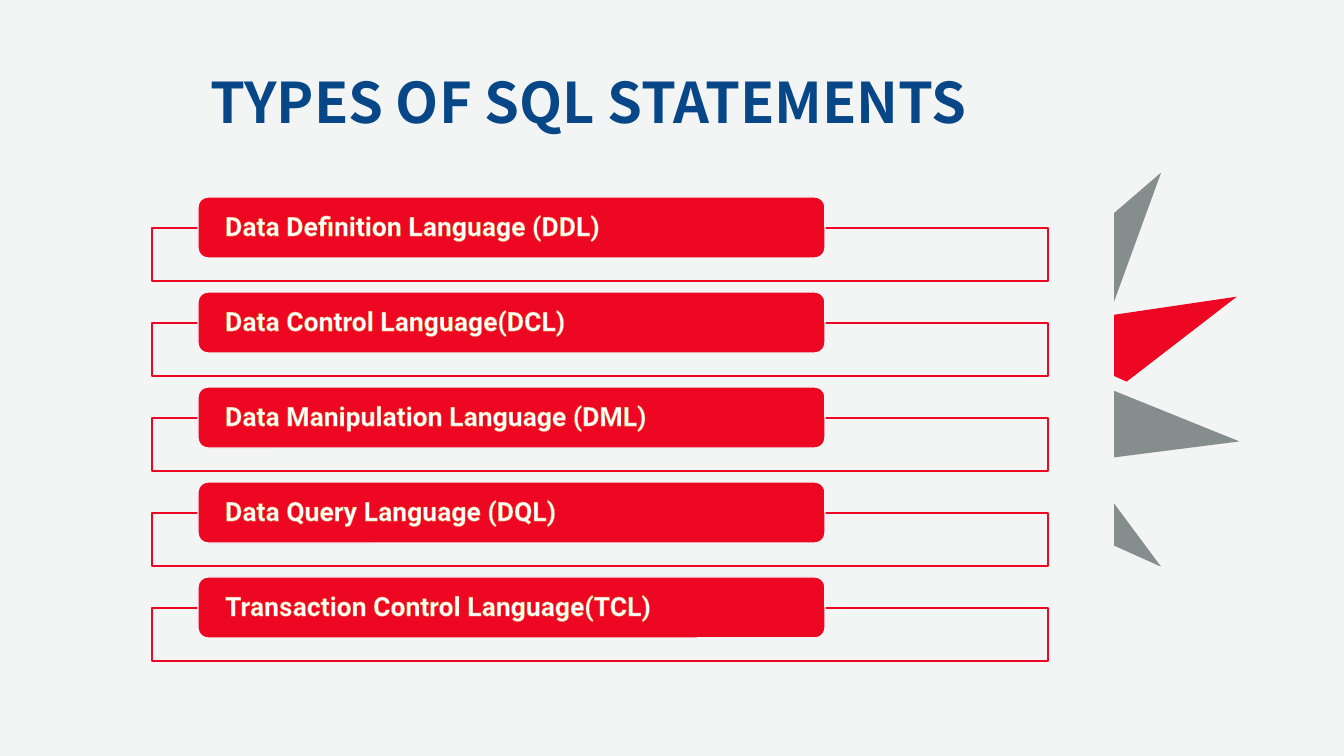
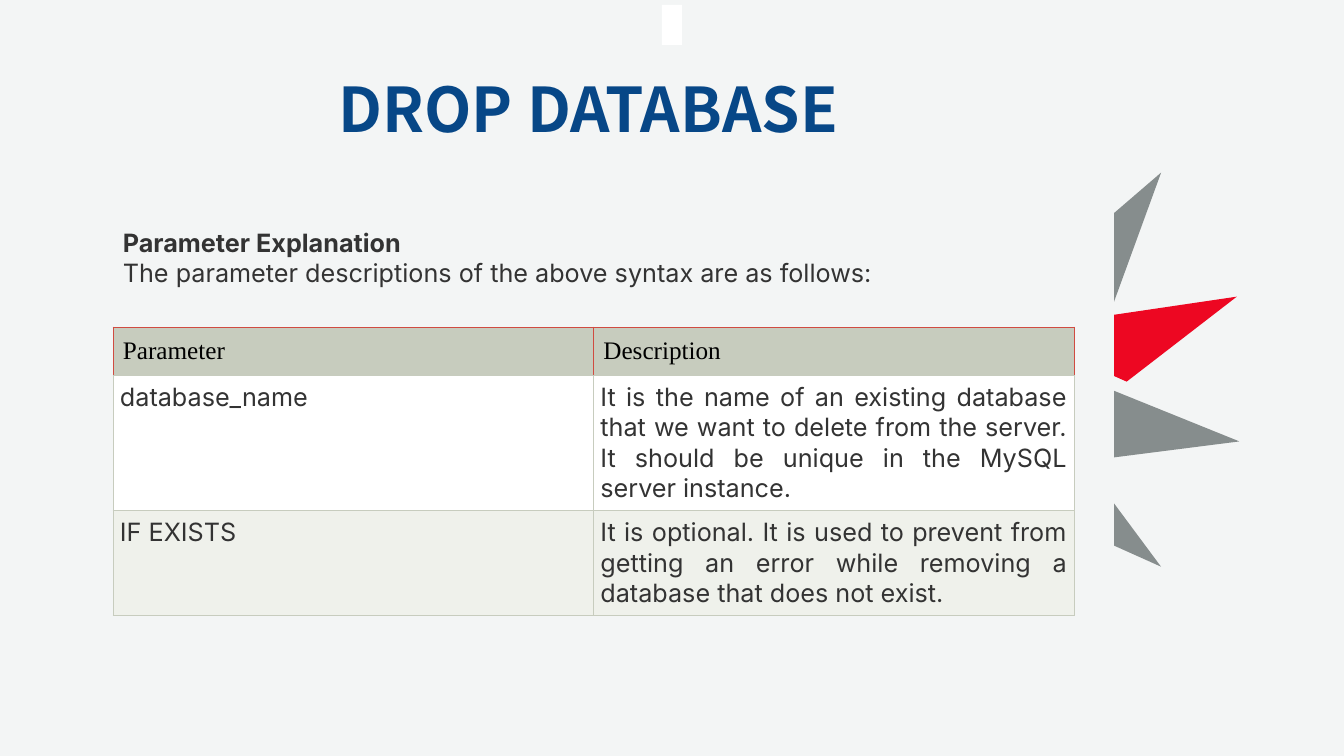
from dataclasses import dataclass

from lxml.etree import SubElement
from pptx import Presentation
from pptx.dml.color import RGBColor as Rgb
from pptx.enum.shapes import MSO_SHAPE as Kind
from pptx.enum.text import MSO_ANCHOR as Anchor, MSO_AUTO_SIZE as Fit, PP_ALIGN as Align
from pptx.oxml import parse_xml
from pptx.oxml.ns import nsdecls, qn
from pptx.util import Pt


@dataclass(frozen=True)
class Theme:
    page: str = "F3F5F5"
    red: str = "ED0722"
    gray: str = "868D8D"
    navy: str = "074787"
    white: str = "FFFFFF"
    black: str = "000000"
    ink: str = "333333"
    glow: str = "ED7D31"
    head: str = "C7CCBE"
    band: str = "EFF1EB"
    rust: str = "D04B41"
    title: str = "Noto Sans CJK SC"
    label: str = "Roboto"
    body: str = "Inter"
    serif: str = "Times New Roman"
    pill: int = 19
    text: int = 18


T = Theme()

TYPES = [
    "Data Definition Language (DDL)",
    "Data Control Language(DCL)",
    "Data Manipulation Language (DML)",
    "Data Query Language (DQL)",
    "Transaction Control Language(TCL)",
]
INTRO = [
    "Parameter Explanation",
    "The parameter descriptions of the above syntax are as follows:",
]
ROWS = [
    ("Parameter", "Description"),
    ("database_name",
     "It is the name of an existing database that we want to delete from the server. "
     "It should be unique in the MySQL server instance."),
    ("IF EXISTS",
     "It is optional. It is used to prevent from getting an error while removing a "
     "database that does not exist."),
]
HEIGHTS = [48, 135, 105]
FILLS = [T.head, T.white, T.band]
RAYS = [
    (1014, 313, 171.6, T.red),
    (951, 461, 233.4, T.gray),
    (1006, 396, 202, T.gray),
    (982, 239, 139.3, T.gray),
]
MASKS = [(113, 213, 997, 472), (1072, 213, 42, 472)]
WIDE, HIGH = 1344, 756
PITCH = 95


def px(n):
    return round(n * 12192000 / WIDE)


def box(slide, kind, area, fill, line=None):
    shape = slide.shapes.add_shape(kind, *map(px, area))
    shape.shadow.inherit = False
    shape.fill.solid()
    shape.fill.fore_color.rgb = Rgb.from_string(fill)
    if line:
        shape.line.color.rgb = Rgb.from_string(line)
        shape.line.width = Pt(1)
    else:
        shape.line.fill.background()
    return shape


def style(para, face, size, color, bold=False, align=Align.LEFT):
    para.alignment = align
    for run in para.runs:
        font = run.font
        font.name, font.size, font.bold = face, Pt(size), bold
        font.color.rgb = Rgb.from_string(color)
        for tag in ("a:ea", "a:cs"):
            SubElement(font._element, qn(tag), typeface=face)


def stroke(tag, color, width):
    return parse_xml(
        f'<a:{tag} {nsdecls("a")} w="{width}"><a:solidFill>'
        f'<a:srgbClr val="{color}"/></a:solidFill></a:{tag}>')


def dress(layout, slide):
    fill = layout.background.fill
    fill.solid()
    fill.fore_color.rgb = Rgb.from_string(T.page)
    parts = []
    for left, top, turn, color in RAYS:
        ray = box(slide, Kind.ISOSCELES_TRIANGLE, (left, top, 229, 68), color)
        ray.adjustments[0] = 0.53
        ray.rotation = turn
        parts.append(ray)
    parts += [box(slide, Kind.RECTANGLE, area, T.page) for area in MASKS]
    for part in parts:
        layout.shapes.element.append(part.element)


def head(slide, text, size, high):
    title = slide.shapes.title
    title.left, title.top, title.width, title.height = map(px, (90, 40, 997, high))
    frame = title.text_frame
    frame.text = text
    frame.word_wrap = True
    frame.auto_size = Fit.NONE
    frame.vertical_anchor = Anchor.MIDDLE
    para = frame.paragraphs[0]
    para.line_spacing = 0.9
    style(para, T.title, size, T.navy, True, Align.CENTER)


def bars(slide):
    for i, text in enumerate(TYPES):
        top = 197 + i * PITCH
        box(slide, Kind.RECTANGLE, (152, top + 31, 896, 53), T.page, T.red)
        pill = box(slide, Kind.ROUNDED_RECTANGLE, (198, top, 627, 61), T.red, T.page)
        frame = pill.text_frame
        frame.text = text
        frame.word_wrap = True
        frame.vertical_anchor = Anchor.MIDDLE
        frame.margin_left = frame.margin_right = px(24)
        frame.margin_top = frame.margin_bottom = 0
        para = frame.paragraphs[0]
        para.line_spacing = 0.9
        style(para, T.label, T.pill, T.white, True)
        para.runs[0].font._element.insert(0, stroke("ln", T.glow, 6600))


def intro(slide):
    frame = slide.shapes.add_textbox(*map(px, (113, 222, 961, 72))).text_frame
    frame.word_wrap = True
    frame.auto_size = Fit.SHAPE_TO_FIT_TEXT
    frame.text = "\n".join(INTRO)
    for i, para in enumerate(frame.paragraphs):
        style(para, T.body, T.text, T.ink, i == 0, Align.JUSTIFY)


def grid(slide):
    area = map(px, (113, 327, 961, sum(HEIGHTS)))
    table = slide.shapes.add_table(len(ROWS), 2, *area).table
    table.first_row = table.horz_banding = False
    for r, (row, high, fill) in enumerate(zip(ROWS, HEIGHTS, FILLS)):
        table.rows[r].height = px(high)
        top = r == 0
        for c, text in enumerate(row):
            cell = table.cell(r, c)
            cell.text = text
            pad = px(10 if top else 7)
            cell.margin_left = cell.margin_right = pad
            cell.margin_top = cell.margin_bottom = pad
            props = cell._tc.get_or_add_tcPr()
            for side in ("lnL", "lnR", "lnT", "lnB"):
                color = T.rust if top and side != "lnB" else T.head
                props.append(stroke(side, color, 7620))
            cell.fill.solid()
            cell.fill.fore_color.rgb = Rgb.from_string(fill)
            para = cell.text_frame.paragraphs[0]
            if top:
                style(para, T.serif, T.text, T.black)
            else:
                style(para, T.body, T.text, T.ink, align=Align.JUSTIFY)


def main():
    deck = Presentation()
    deck.slide_width, deck.slide_height = px(WIDE), px(HIGH)
    layout = deck.slide_layouts[5]

    first = deck.slides.add_slide(layout)
    dress(layout, first)
    head(first, "TYPES OF SQL STATEMENTS", 40, 130)
    bars(first)

    second = deck.slides.add_slide(layout)
    head(second, "DROP DATABASE", 44, 146)
    grid(second)
    box(second, Kind.RECTANGLE, (662, 5, 20, 40), T.white)
    intro(second)

    deck.save("out.pptx")


if __name__ == "__main__":
    main()
